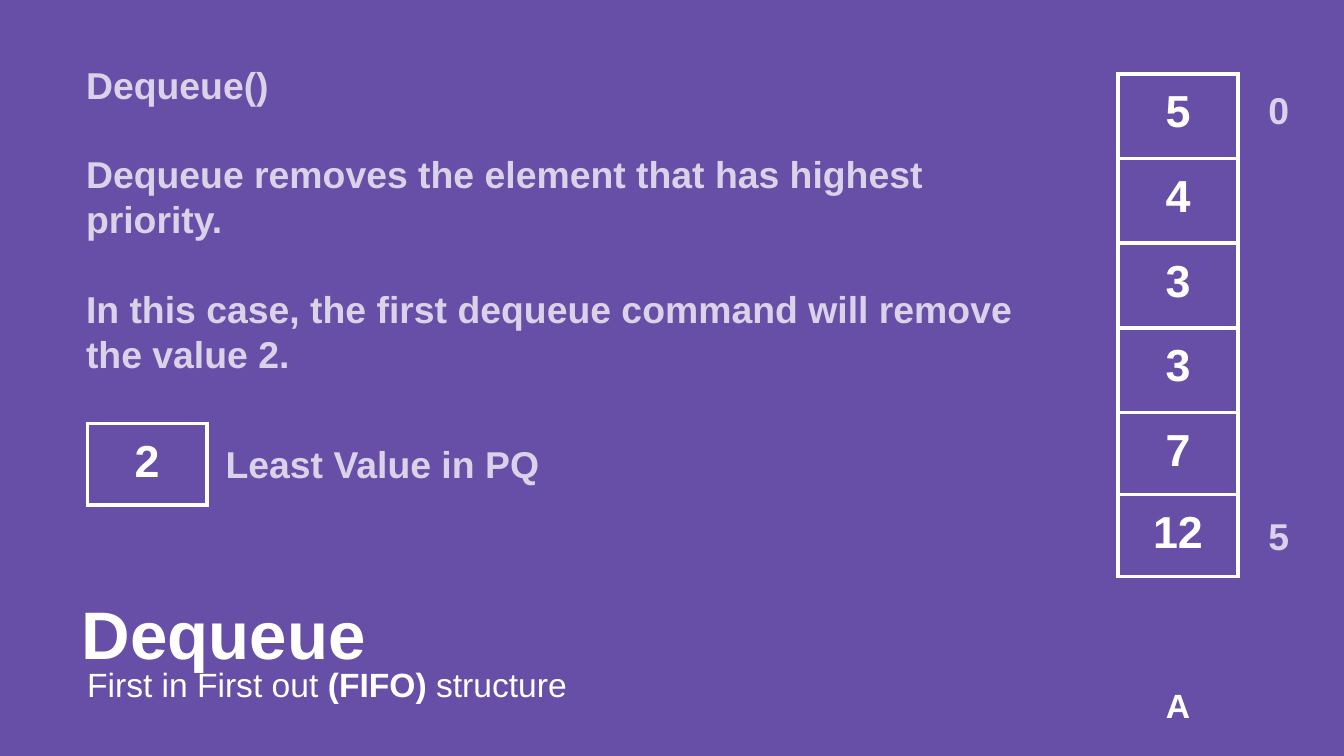
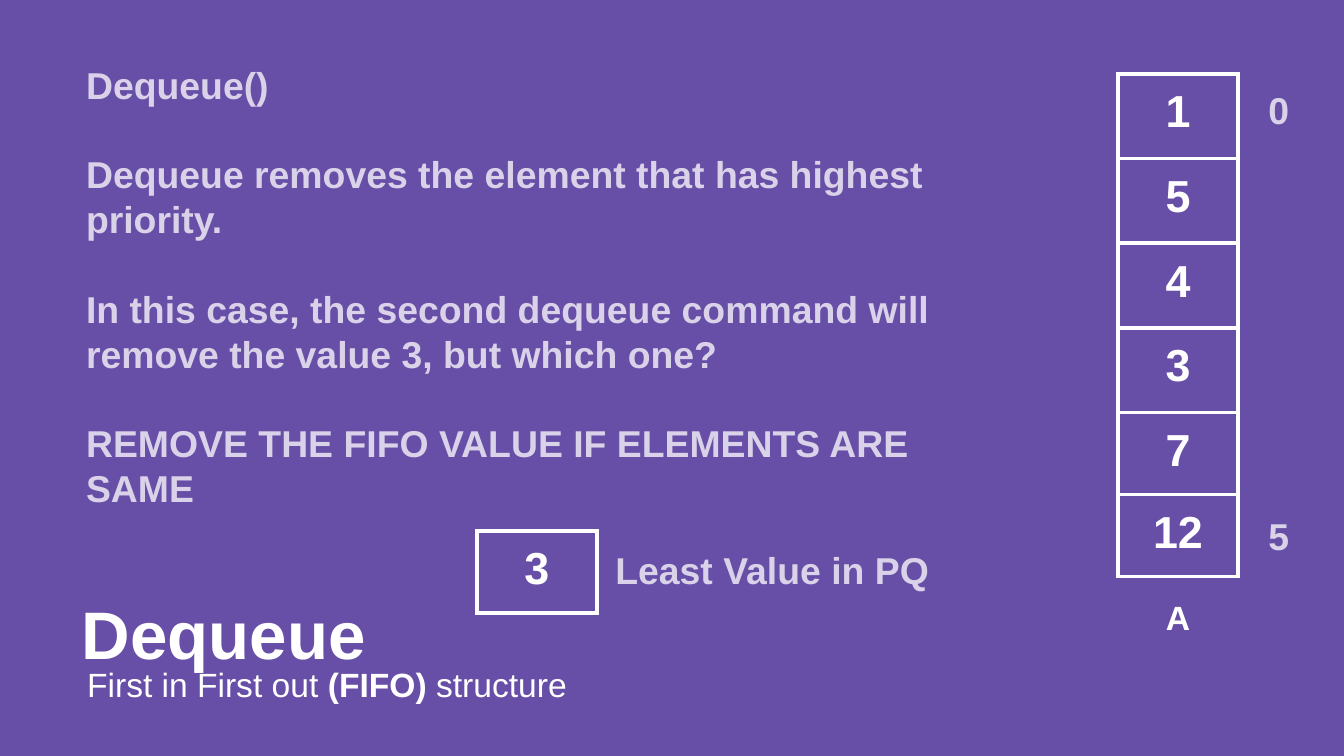
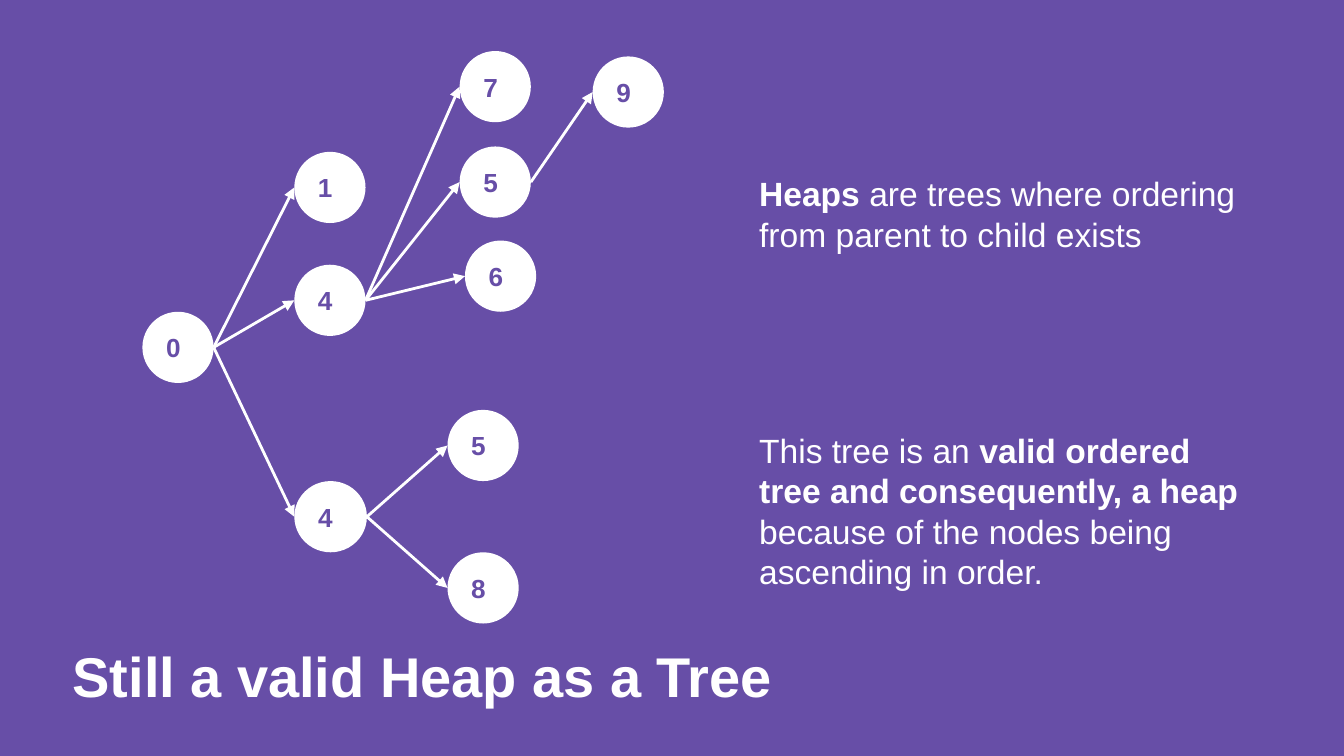
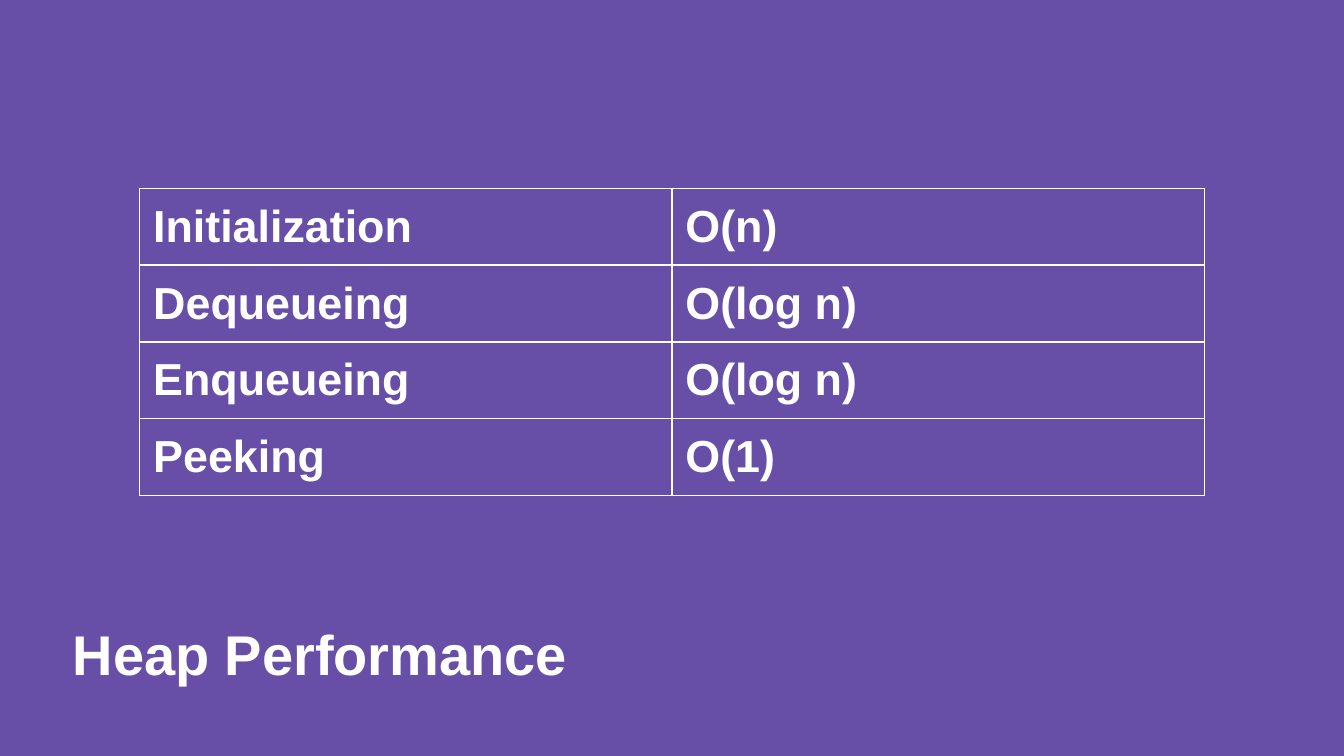
from dataclasses import dataclass

import pptx
import pptx.dml.color
import pptx.enum.shapes
import pptx.enum.text
import pptx.oxml.ns
import pptx.util
from lxml import etree
from pptx.util import Inches

COLORS = {"purple": "674EA7", "white": "FFFFFF", "lavender": "D9D2E9"}
FONT = "Arial"
INSET = Inches(0.1)
LINE_HEIGHT = 1.2  # line pitch as a multiple of the text size
NODE_SIZE = 0.53
TITLE_AND_BODY, TITLE_ONLY = 1, 5
LEFT, CENTER = pptx.enum.text.PP_ALIGN.LEFT, pptx.enum.text.PP_ALIGN.CENTER

Runs = list[tuple[str, bool]]


@dataclass(frozen=True)
class Box:
    left: float
    top: float
    width: float
    height: float

    def lengths(self) -> tuple:
        return tuple(Inches(v) for v in (self.left, self.top, self.width, self.height))


@dataclass(frozen=True)
class Style:
    size: int
    color: str = "white"
    align: int = LEFT


@dataclass(frozen=True)
class Node:
    value: str
    left: float
    top: float
    width: float = NODE_SIZE


@dataclass(frozen=True)
class DequeueStep:
    explanation: list[str]
    queue: list[str]
    removed: str
    removed_left: float
    removed_top: float
    note_top: float
    name_top: float


HEADING = Style(36)
SMALL_HEADING = Style(30)
PROSE = Style(18)
NAME = Style(18, align=CENTER)
NOTE = Style(20, "lavender")
CELL = Style(24)
QUEUE_CELL = Style(24, align=CENTER)
NODE_LABEL = Style(14, "purple")

QUEUE_ROWS = [0.63] * 4 + [0.61] * 2
QUEUE_WIDTH = 0.89

DEQUEUE_INTRO = ["Dequeue()", "Dequeue removes the element that has highest priority."]
DEQUEUE_STEPS = [
    DequeueStep(
        DEQUEUE_INTRO + ["In this case, the first dequeue command will remove the value 2."],
        ["5", "4", "3", "3", "7", "12"], "2", 0.65, 3.15, 3.18, 5),
    DequeueStep(
        DEQUEUE_INTRO + [
            "In this case, the second dequeue command will remove the value 3, but which one?",
            "REMOVE THE FIFO VALUE IF ELEMENTS ARE SAME"],
        ["1", "5", "4", "3", "7", "12"], "3", 3.55, 3.95, 3.97, 4.34),
]

HEAP_NODES = {
    "root": Node("0", 1.06, 2.32),
    "one": Node("1", 2.19, 1.13),
    "upper four": Node("4", 2.19, 1.97),
    "lower four": Node("4", 2.19, 3.58, 0.54),
    "lower five": Node("5", 3.33, 3.05),
    "eight": Node("8", 3.33, 4.11),
    "six": Node("6", 3.46, 1.79),
    "upper five": Node("5", 3.42, 1.09),
    "nine": Node("9", 4.41, 0.42),
    "seven": Node("7", 3.42, 0.38),
}
HEAP_CHILDREN = {
    "root": ["one", "upper four", "lower four"],
    "lower four": ["eight", "lower five"],
    "upper four": ["six", "upper five", "seven"],
    "upper five": ["nine"],
}

PERFORMANCE = [
    ["Initialization", "O(n)"],
    ["Dequeueing", "O(log n)"],
    ["Enqueueing", "O(log n)"],
    ["Peeking", "O(1)"],
]


def rgb(color: str) -> pptx.dml.color.RGBColor:
    return pptx.dml.color.RGBColor.from_string(COLORS[color])


def format_run(run, style: Style, bold: bool = True) -> None:
    run.font.name = FONT
    run.font.size = pptx.util.Pt(style.size)
    run.font.bold = bold
    run.font.color.rgb = rgb(style.color)


def fill_frame(shape, paragraphs: list[Runs], style: Style, gap: float = 0) -> None:
    """Write paragraphs of (text, bold) runs, with gap points between them."""
    frame = shape.text_frame
    frame.word_wrap = True
    frame.auto_size = pptx.enum.text.MSO_AUTO_SIZE.NONE
    frame.vertical_anchor = pptx.enum.text.MSO_ANCHOR.TOP
    frame.margin_left = frame.margin_right = INSET
    frame.margin_top = frame.margin_bottom = INSET
    for index, runs in enumerate(paragraphs):
        paragraph = frame.add_paragraph() if index else frame.paragraphs[0]
        paragraph.alignment = style.align
        paragraph.line_spacing = pptx.util.Pt(style.size * LINE_HEIGHT)
        paragraph.space_before = pptx.util.Pt(gap if index else 0)
        paragraph.space_after = pptx.util.Pt(0)
        for text, bold in runs:
            run = paragraph.add_run()
            run.text = text
            format_run(run, style, bold)


def place(shape, box: Box) -> None:
    shape.left, shape.top, shape.width, shape.height = box.lengths()


def add_text(slide, box: Box, runs: Runs, style: Style) -> None:
    fill_frame(slide.shapes.add_textbox(*box.lengths()), [runs], style)


def set_title(slide, box: Box, text: str, style: Style) -> None:
    place(slide.shapes.title, box)
    fill_frame(slide.shapes.title, [[(text, True)]], style)


def set_explanation(slide, box: Box, paragraphs: list[str]) -> None:
    body = slide.placeholders[1]
    place(body, box)
    fill_frame(body, [[(text, True)] for text in paragraphs], NOTE,
               gap=NOTE.size * LINE_HEIGHT)
    for paragraph in body.text_frame.paragraphs:
        properties = paragraph._p.get_or_add_pPr()
        properties.set("marL", "0")
        properties.set("indent", "0")
        etree.SubElement(properties, pptx.oxml.ns.qn("a:buNone"))


def border_cell(cell, points: float) -> None:
    properties = cell._tc.get_or_add_tcPr()
    for side in ("lnL", "lnR", "lnT", "lnB"):
        line = etree.SubElement(properties, pptx.oxml.ns.qn(f"a:{side}"),
                                w=str(pptx.util.Pt(points)))
        solid = etree.SubElement(line, pptx.oxml.ns.qn("a:solidFill"))
        etree.SubElement(solid, pptx.oxml.ns.qn("a:srgbClr"), val=COLORS["white"])


def add_grid(slide, left: float, top: float, values: list[list[str]], column_width: float,
             row_heights: list[float], border: float, style: Style) -> None:
    """Draw an unfilled table with equal columns and white borders."""
    columns = len(values[0])
    box = Box(left, top, column_width * columns, sum(row_heights))
    table = slide.shapes.add_table(len(values), columns, *box.lengths()).table
    table.first_row = table.horz_banding = False
    for column in table.columns:
        column.width = Inches(column_width)
    for row, height, texts in zip(table.rows, row_heights, values):
        row.height = Inches(height)
        for cell, text in zip(row.cells, texts):
            border_cell(cell, border)
            cell.fill.background()
            cell.margin_left = cell.margin_right = INSET
            cell.margin_top = cell.margin_bottom = INSET
            cell.text_frame.text = text
            paragraph = cell.text_frame.paragraphs[0]
            paragraph.alignment = style.align
            format_run(paragraph.runs[0], style)


def add_queue(slide, left: float, top: float, values: list[str], heights: list[float]) -> None:
    add_grid(slide, left, top, [[value] for value in values], QUEUE_WIDTH, heights,
             2.25, QUEUE_CELL)


def add_node(slide, node: Node) -> None:
    circle = slide.shapes.add_shape(
        pptx.enum.shapes.MSO_SHAPE.OVAL,
        *Box(node.left, node.top, node.width, NODE_SIZE).lengths())
    circle.shadow.inherit = False
    circle.fill.solid()
    circle.fill.fore_color.rgb = rgb("white")
    circle.line.fill.background()
    fill_frame(circle, [[(node.value, True)]], NODE_LABEL)
    circle.text_frame.vertical_anchor = pptx.enum.text.MSO_ANCHOR.MIDDLE


def add_edge(slide, parent: Node, child: Node) -> None:
    """Draw an arrow from the parent's right side to the child's left side."""
    radius = NODE_SIZE / 2
    edge = slide.shapes.add_connector(
        pptx.enum.shapes.MSO_CONNECTOR.STRAIGHT,
        Inches(parent.left + parent.width), Inches(parent.top + radius),
        Inches(child.left), Inches(child.top + radius))
    edge.line.color.rgb = rgb("white")
    edge.line.width = pptx.util.Pt(1.5)
    etree.SubElement(edge.line._get_or_add_ln(), pptx.oxml.ns.qn("a:tailEnd"), type="triangle")
    etree.SubElement(edge._element.spPr, pptx.oxml.ns.qn("a:effectLst"))


def new_slide(deck, layout: int):
    return deck.slides.add_slide(deck.slide_layouts[layout])


def build_dequeue(deck, step: DequeueStep) -> None:
    slide = new_slide(deck, TITLE_AND_BODY)
    set_explanation(slide, Box(0.54, 0.36, 7.15, 1.73), step.explanation)
    set_title(slide, Box(0.51, 4.31, 7.4, 0.81), "Dequeue", HEADING)
    add_text(slide, Box(0.55, 4.84, 6.35, 0.71),
             [("First in First out ", False), ("(FIFO) ", True), ("structure", False)], PROSE)
    add_queue(slide, 8.32, 0.55, step.queue, QUEUE_ROWS)
    add_text(slide, Box(8.08, step.name_top, 1.37, 0.47), [("A", True)], NAME)
    for index, top in (("0", 0.55), ("5", 3.72)):
        add_text(slide, Box(9.34, top, 0.44, 0.51), [(index, True)], NOTE)
    add_queue(slide, step.removed_left, step.removed_top, [step.removed], [0.61])
    add_text(slide, Box(step.removed_left + 0.93, step.note_top, 2.92, 0.56),
             [("Least Value in PQ", True)], NOTE)


def build_heap(deck) -> None:
    slide = new_slide(deck, TITLE_ONLY)
    set_title(slide, Box(0.44, 4.67, 5.93, 0.53), "Still a valid Heap as a Tree", SMALL_HEADING)
    for node in HEAP_NODES.values():
        add_node(slide, node)
    for parent, children in HEAP_CHILDREN.items():
        for child in children:
            add_edge(slide, HEAP_NODES[parent], HEAP_NODES[child])
    add_text(slide, Box(5.55, 1.19, 3.82, 0.93),
             [("Heaps", True),
              (" are trees where ordering from parent to child exists", False)], PROSE)
    add_text(slide, Box(5.55, 3.1, 3.82, 0.93),
             [("This tree is an ", False),
              ("valid ordered tree and consequently, a heap", True),
              (" because of the nodes being ascending in order.", False)], PROSE)


def build_performance(deck) -> None:
    slide = new_slide(deck, TITLE_ONLY)
    set_title(slide, Box(0.44, 4.51, 5.93, 0.53), "Heap Performance", SMALL_HEADING)
    add_grid(slide, 1.04, 1.4, PERFORMANCE, 3.96, [0.42] * len(PERFORMANCE), 0.75, CELL)


def main() -> None:
    deck = pptx.Presentation()
    deck.slide_width = Inches(10)
    deck.slide_height = deck.slide_width * 9 // 16
    background = deck.slide_master.background.fill
    background.solid()
    background.fore_color.rgb = rgb("purple")
    for step in DEQUEUE_STEPS:
        build_dequeue(deck, step)
    build_heap(deck)
    build_performance(deck)
    deck.save("out.pptx")


if __name__ == "__main__":
    main()
